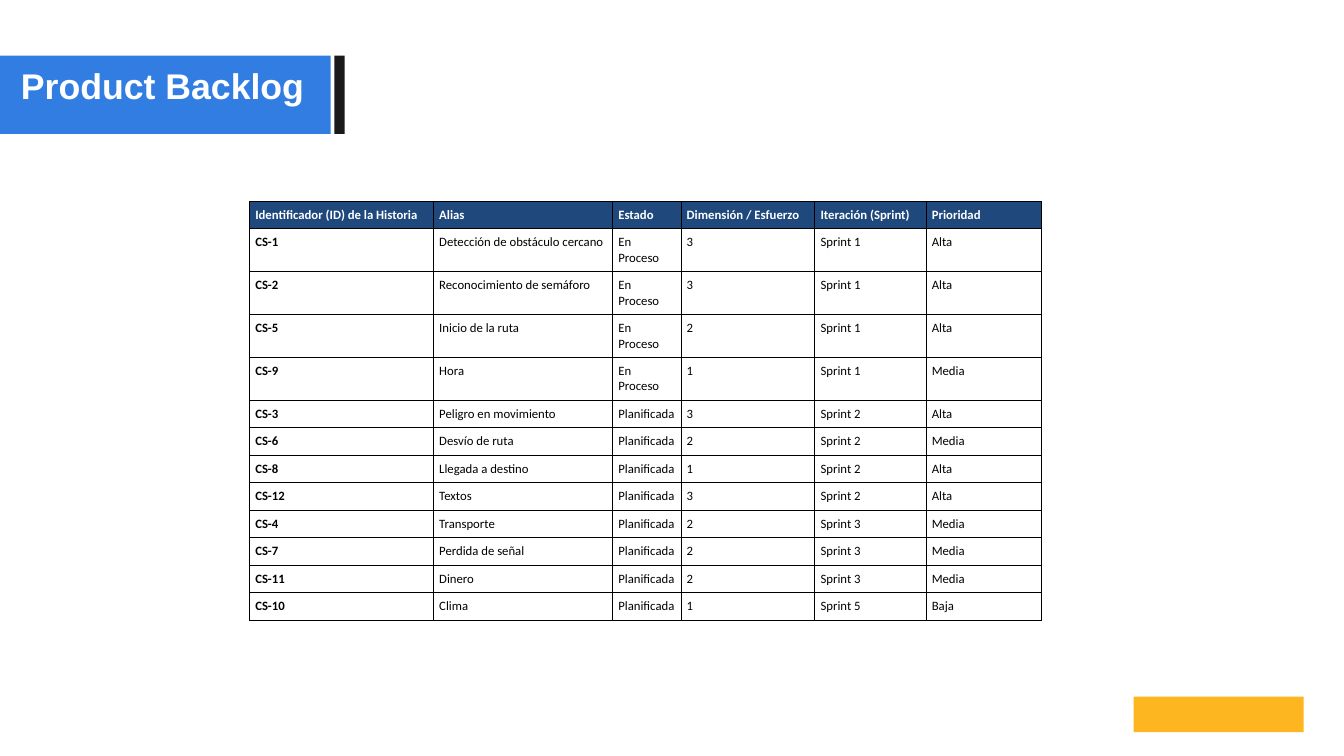
from lxml import etree
from pptx import Presentation
from pptx import util as u
from pptx.dml.color import RGBColor
from pptx.enum import shapes, text
from pptx.oxml.ns import qn

HEADERS = ["Identificador (ID) de la Historia", "Alias", "Estado",
           "Dimensión / Esfuerzo", "Iteración (Sprint)", "Prioridad"]
STORIES = [
    ("CS-1", "Detección de obstáculo cercano", "En Proceso", "3", "Sprint 1", "Alta"),
    ("CS-2", "Reconocimiento de semáforo", "En Proceso", "3", "Sprint 1", "Alta"),
    ("CS-5", "Inicio de la ruta", "En Proceso", "2", "Sprint 1", "Alta"),
    ("CS-9", "Hora", "En Proceso", "1", "Sprint 1", "Media"),
    ("CS-3", "Peligro en movimiento", "Planificada", "3", "Sprint 2", "Alta"),
    ("CS-6", "Desvío de ruta", "Planificada", "2", "Sprint 2", "Media"),
    ("CS-8", "Llegada a destino", "Planificada", "1", "Sprint 2", "Alta"),
    ("CS-12", "Textos", "Planificada", "3", "Sprint 2", "Alta"),
    ("CS-4", "Transporte", "Planificada", "2", "Sprint 3", "Media"),
    ("CS-7", "Perdida de señal", "Planificada", "2", "Sprint 3", "Media"),
    ("CS-11", "Dinero", "Planificada", "2", "Sprint 3", "Media"),
    ("CS-10", "Clima", "Planificada", "1", "Sprint 5", "Baja"),
]
COL_WIDTHS = [3.01, 2.93, 1.12, 2.19, 1.82, 1.89]
ROW_H, TALL_ROW_H = 0.45, 0.7


def paint(fill, color):
    fill.solid()
    fill.fore_color.rgb = RGBColor.from_string(color)


def set_font(p, name, size, color, bold):
    p.font.name = name
    p.font.size = u.Pt(size)
    p.font.bold = bold
    p.font.color.rgb = RGBColor.from_string(color)


def add_block(s, x, y, w, h, color):
    sp = s.shapes.add_shape(shapes.MSO_SHAPE.RECTANGLE,
                            *map(u.Inches, (x, y, w, h)))
    sp.shadow.inherit = False
    paint(sp.fill, color)
    sp.line.fill.background()


def add_title(s, words):
    sp = s.shapes.add_textbox(*map(u.Inches, (0, 1.04, 5.32, 1.41)))
    tf = sp.text_frame
    tf.word_wrap = True
    tf.margin_left = tf.margin_right = tf.margin_top = tf.margin_bottom = 0
    p = tf.paragraphs[0]
    p.text = words
    p.alignment = text.PP_ALIGN.CENTER
    set_font(p, "Arial", 42, "FFFFFF", True)


def add_borders(cell, color, width):
    """Line all four sides; borders must come before the cell's fill."""
    tcPr = cell._tc.get_or_add_tcPr()
    for i, side in enumerate(("a:lnL", "a:lnR", "a:lnT", "a:lnB")):
        ln = etree.Element(qn(side), w=str(u.Pt(width)))
        fill = etree.SubElement(ln, qn("a:solidFill"))
        etree.SubElement(fill, qn("a:srgbClr"), val=color)
        tcPr.insert(i, ln)


def fill_cell(cell, words, background, color, bold):
    cell.margin_left = cell.margin_right = u.Pt(7)
    cell.margin_top = cell.margin_bottom = u.Inches(0.1)
    paint(cell.fill, background)
    add_borders(cell, "000000", 0.75)
    p = cell.text_frame.paragraphs[0]
    p.text = words
    set_font(p, "Calibri", 15, color, bold)


def add_backlog(s):
    rows = [HEADERS, *STORIES]
    heights = [TALL_ROW_H if row[2] == "En Proceso" else ROW_H for row in rows]
    box = (4.08, 3.29, sum(COL_WIDTHS), sum(heights))
    table = s.shapes.add_table(len(rows), len(HEADERS),
                               *map(u.Inches, box)).table
    for column, width in zip(table.columns, COL_WIDTHS):
        column.width = u.Inches(width)
    for i, (row, height) in enumerate(zip(rows, heights)):
        table.rows[i].height = u.Inches(height)
        background, color = ("FFFFFF", "000000") if i else ("1F497D", "FFFFFF")
        for j, words in enumerate(row):
            fill_cell(table.cell(i, j), words, background, color,
                      i == 0 or j == 0)


def main():
    prs = Presentation()
    prs.slide_width, prs.slide_height = u.Inches(21.99), u.Inches(12.37)
    s = prs.slides.add_slide(prs.slide_layouts[6])
    add_block(s, 0, 0.91, 5.41, 1.28, "317DE2")
    add_block(s, 5.47, 0.91, 0.17, 1.28, "1A1A1A")
    add_block(s, 18.55, 11.4, 2.78, 0.58, "FEB620")
    add_title(s, "Product Backlog")
    add_backlog(s)
    prs.save("out.pptx")


if __name__ == "__main__":
    main()
